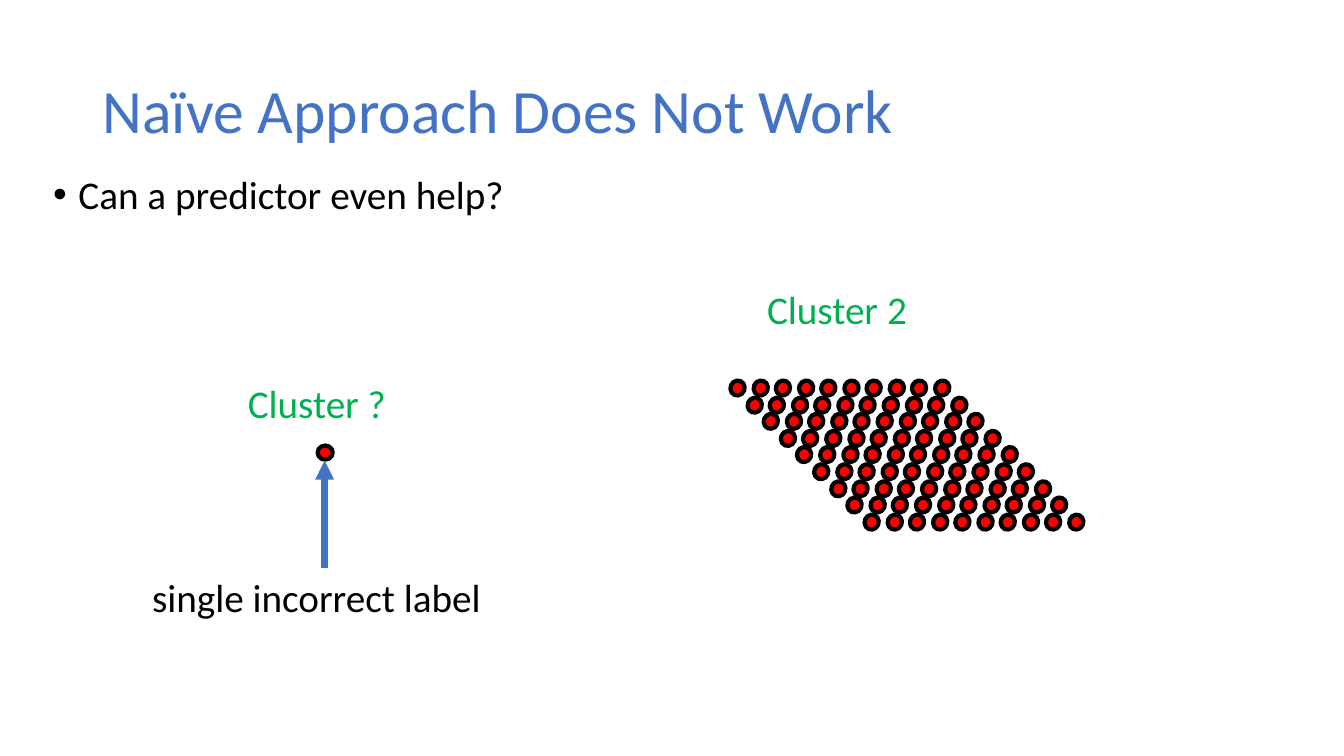
"""Build the slide on why a naïve use of predictor labels fails."""
from dataclasses import dataclass

from lxml.etree import SubElement
from pptx import Presentation
from pptx.dml.color import RGBColor
from pptx.enum.shapes import MSO_CONNECTOR, MSO_SHAPE
from pptx.enum.text import MSO_ANCHOR, MSO_AUTO_SIZE
from pptx.oxml.ns import qn
from pptx.shapes.autoshape import Shape
from pptx.slide import Slide
from pptx.util import Emu, Pt

PX = 9144
COLORS = {"blue": "4472C4", "green": "00B050", "red": "FF0000", "black": "000000"}
ROWS, COLUMNS = 9, 10


@dataclass(frozen=True)
class Box:
    left: int
    top: int
    width: int
    height: int

    def emu(self) -> tuple[Emu, ...]:
        return tuple(Emu(n * PX) for n in (self.left, self.top, self.width, self.height))


@dataclass(frozen=True)
class Point:
    left: int
    top: int
    rotation: float = 0


def rgb(name: str) -> RGBColor:
    return RGBColor.from_string(COLORS[name])


def add_text(slide: Slide, text: str, box: Box, *, color: str = "black", size: int = 28,
             anchor: MSO_ANCHOR = MSO_ANCHOR.TOP, grow: bool = False,
             spacing: float | None = None, bullet: bool = False) -> Shape:
    label = slide.shapes.add_textbox(*box.emu())
    frame = label.text_frame
    frame.word_wrap = True
    frame.vertical_anchor = anchor
    frame.auto_size = MSO_AUTO_SIZE.SHAPE_TO_FIT_TEXT if grow else MSO_AUTO_SIZE.NONE
    paragraph = frame.paragraphs[0]
    if bullet:
        properties = paragraph._p.get_or_add_pPr()
        properties.set("marL", str(25 * PX))
        properties.set("indent", str(-25 * PX))
        SubElement(properties, qn("a:buFont"), typeface="Arial")
        SubElement(properties, qn("a:buChar"), char="•")
    if spacing:
        paragraph.line_spacing = spacing
    run = paragraph.add_run()
    run.text = text
    run.font.name = "Calibri"
    run.font.size = Pt(size)
    run.font.color.rgb = rgb(color)
    return label


def add_point(slide: Slide, point: Point) -> None:
    dot = slide.shapes.add_shape(MSO_SHAPE.OVAL, *Box(point.left, point.top, 15, 14).emu())
    dot.rotation = point.rotation
    dot.shadow.inherit = False
    dot.fill.solid()
    dot.fill.fore_color.rgb = rgb("red")
    dot.line.color.rgb = rgb("black")
    dot.line.width = Pt(3)


def add_arrow(slide: Slide, source: Shape, x: int, y: int) -> None:
    arrow = slide.shapes.add_connector(
        MSO_CONNECTOR.STRAIGHT, Emu(x * PX), source.top, Emu(x * PX), Emu(y * PX))
    arrow.begin_connect(source, 0)
    arrow.line.color.rgb = rgb("blue")
    arrow.line.width = Pt(4.5)
    SubElement(arrow.line._get_or_add_ln(), qn("a:tailEnd"), type="triangle")
    SubElement(arrow._element.spPr, qn("a:effectLst"))


def main() -> None:
    deck = Presentation()
    deck.slide_width, deck.slide_height = Emu(1333 * PX), Emu(750 * PX)
    slide = deck.slides.add_slide(deck.slide_layouts[6])

    add_text(slide, "Can a predictor even help?", Box(43, 169, 1247, 560),
             spacing=0.9, bullet=True)
    add_text(slide, "Naïve Approach Does Not Work", Box(92, 40, 1150, 145),
             color="blue", size=44, anchor=MSO_ANCHOR.MIDDLE, spacing=0.9)

    cluster = [Point(round(724 + column * 203 / (COLUMNS - 1) + row * 133 / (ROWS - 1)),
                     round(378 + row * 133 / (ROWS - 1)), 293.1)
               for row in range(ROWS) for column in range(COLUMNS)]
    mislabeled = Point(315, 442)
    for point in [*cluster, mislabeled]:
        add_point(slide, point)

    incorrect_label = add_text(slide, "single incorrect label", Box(141, 564, 362, 57), grow=True)
    add_arrow(slide, incorrect_label, 322, 457)
    for name, left, top in (("Cluster ?", 236, 371), ("Cluster 2", 751, 278)):
        add_text(slide, name, Box(left, top, 230, 57), color="green", grow=True)

    deck.save("out.pptx")


if __name__ == "__main__":
    main()
